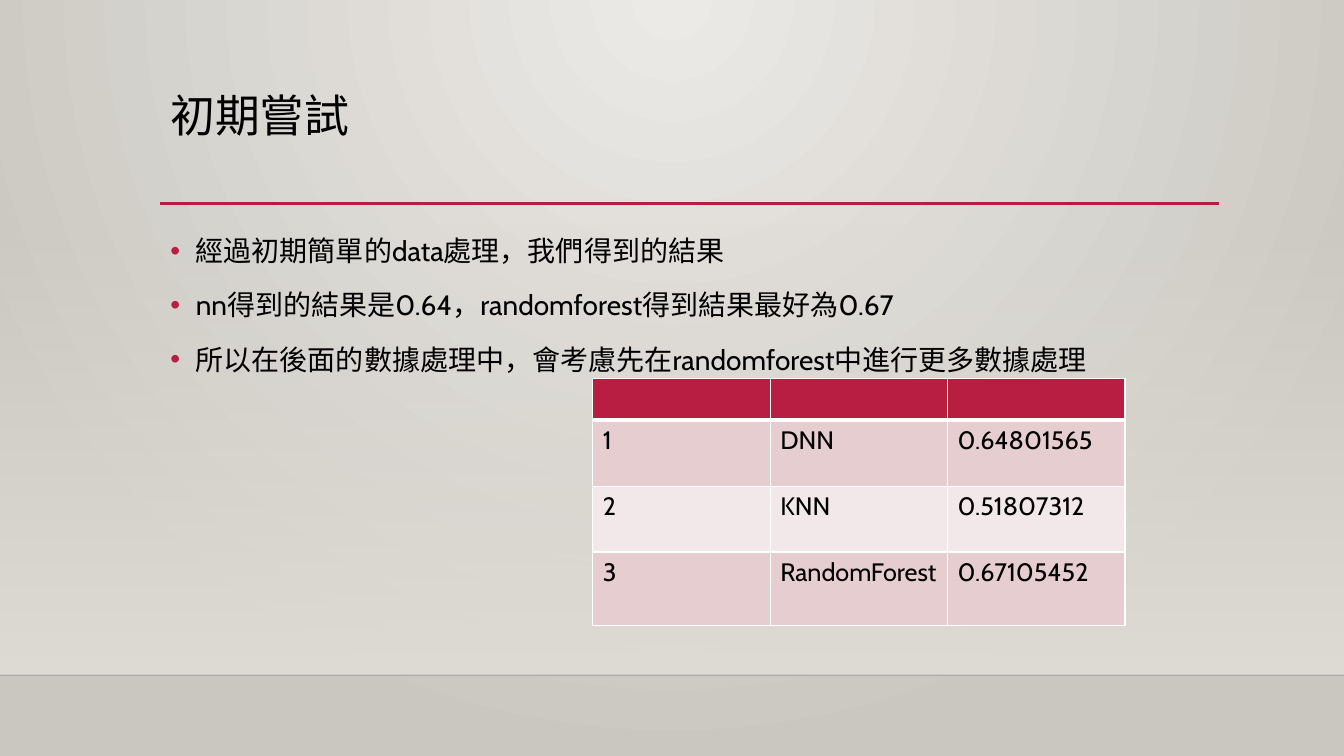
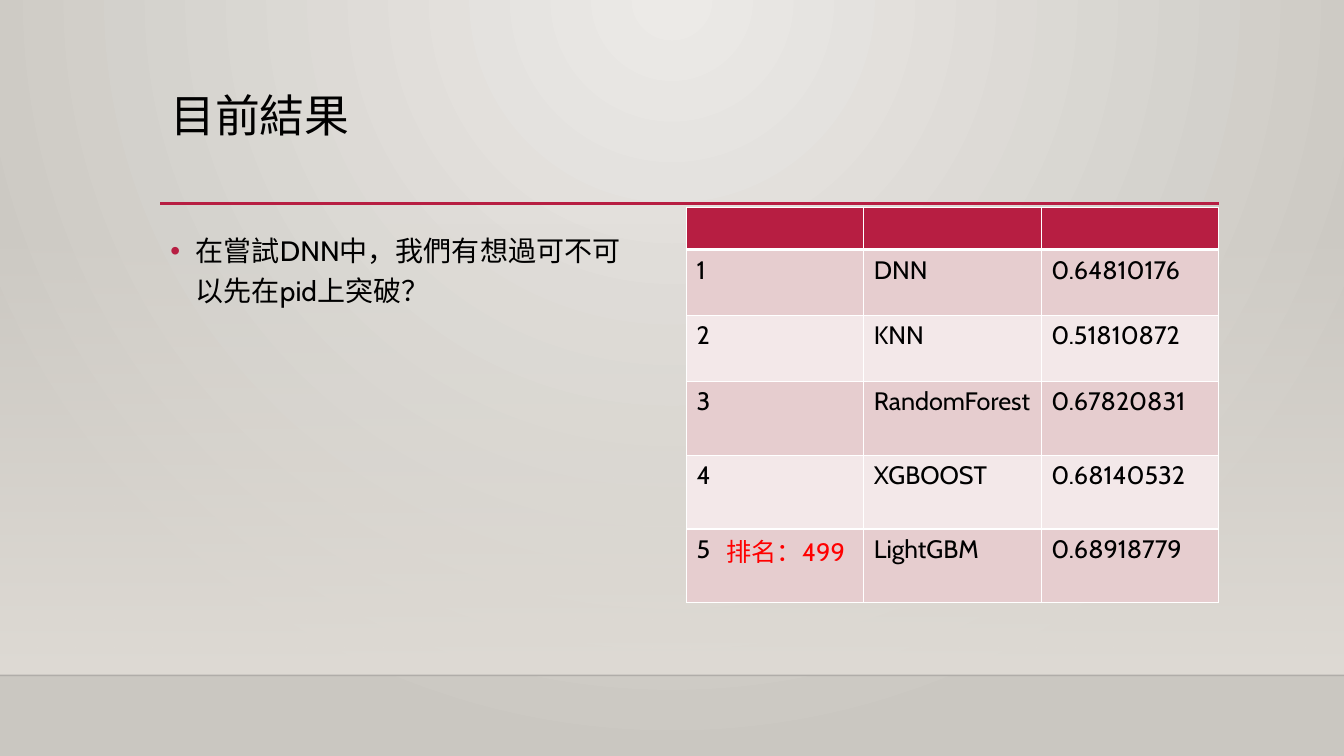
from collections import namedtuple

from lxml.etree import SubElement
from pptx import Presentation
from pptx.dml.color import RGBColor
from pptx.enum.shapes import MSO_CONNECTOR, MSO_SHAPE
from pptx.enum.text import MSO_ANCHOR, MSO_AUTO_SIZE, PP_ALIGN
from pptx.oxml.ns import qn
from pptx.util import Cm, Pt

Box = namedtuple("Box", "left top width height")

FONT = "Cabin"
BLACK = RGBColor(0x00, 0x00, 0x00)
EDGE = RGBColor(0x00, 0x00, 0x01)
WHITE = RGBColor(0xFF, 0xFF, 0xFF)
RED = RGBColor(0xFF, 0x00, 0x00)
CRIMSON = RGBColor(0xB7, 0x1E, 0x42)
PINK = RGBColor(0xE6, 0xCD, 0xCF)
PALE_PINK = RGBColor(0xF3, 0xE8, 0xE9)
GLOW = RGBColor(0xEC, 0xEA, 0xE7)
STONE = RGBColor(0xCA, 0xC7, 0xC1)
SAND = RGBColor(0xDF, 0xDB, 0xD5)

PAGE_WIDTH = Cm(33.87)
PAGE_HEIGHT = Cm(19.05)
TITLE_BOX = Box(Cm(4.04), Cm(2.24), Cm(26.67), Cm(2.92))
BODY_BOX = Box(Cm(4.04), Cm(5.59), Cm(26.67), Cm(9.58))
HALF_BODY_BOX = BODY_BOX._replace(width=Cm(12.29))
BAND_BOX = Box(Cm(0), Cm(5.61), PAGE_WIDTH, Cm(11.41))
RULE_BOX = Box(Cm(4.04), Cm(5.13), Cm(26.69), Cm(0))

HEADER_HEIGHT = Cm(1.06)
SHORT_ROW = Cm(1.66)
TALL_ROW = Cm(1.86)
SHORT_ROW_COUNT = 2


def add_child(parent, tag, **attributes):
    return SubElement(parent, qn(tag), {key: str(value) for key, value in attributes.items()})


def add_alpha(element, percent):
    add_child(element.find(".//" + qn("a:srgbClr")), "a:alpha", val=percent * 1000)


def place(shape, box):
    shape.left, shape.top, shape.width, shape.height = box


def write(para, text, size=18, color=BLACK, line_spacing=None, space_before=0):
    para.alignment = PP_ALIGN.LEFT
    para.space_before = Pt(space_before)
    if line_spacing:
        para.line_spacing = line_spacing
    span = para.add_run()
    span.text = text
    span.font.name = FONT
    span.font.size = Pt(size)
    span.font.color.rgb = color


def add_bullet(para):
    properties = para._p.get_or_add_pPr()
    properties.set("marL", str(Cm(0.64)))
    properties.set("indent", str(-Cm(0.64)))
    add_child(add_child(properties, "a:buClr"), "a:srgbClr", val=CRIMSON)
    add_child(properties, "a:buFont", typeface="Arial")
    add_child(properties, "a:buChar", char="•")


def fill_gradient(fill, *colors):
    fill.gradient()
    for stop, color in zip(fill.gradient_stops, colors):
        stop.color.rgb = color


def paint_background(master):
    fill_gradient(master.background.fill, GLOW, STONE)
    gradient = master._element.find(".//" + qn("a:gradFill"))
    gradient.remove(gradient.find(qn("a:lin")))
    circle = add_child(gradient, "a:path", path="circle")
    add_child(circle, "a:fillToRect", l=43000, t=0, r=43000, b=100000)


def add_rule(page, box, color, width):
    rule = page.shapes.add_connector(
        MSO_CONNECTOR.STRAIGHT, box.left, box.top, box.left + box.width, box.top
    )
    rule.line.color.rgb = color
    rule.line.width = Pt(width)
    add_child(rule._element.spPr, "a:effectLst")
    return rule


def add_backdrop(page, box):
    band = page.shapes.add_shape(MSO_SHAPE.RECTANGLE, *box)
    band.shadow.inherit = False
    band.line.fill.background()
    fill_gradient(band.fill, SAND, SAND)
    band.fill.gradient_angle = 270
    add_alpha(band._element.spPr, 0)
    floor = add_rule(page, box._replace(top=box.top + box.height), EDGE, 1)
    add_alpha(floor._element.spPr, 20)
    accent = add_rule(page, RULE_BOX, CRIMSON, 2.5)
    for position, shape in enumerate((band, floor, accent), start=2):
        page.shapes._spTree.insert(position, shape._element)


def prepare_placeholder(shape, box):
    place(shape, box)
    frame = shape.text_frame
    frame.word_wrap = True
    frame.auto_size = MSO_AUTO_SIZE.NONE
    frame.vertical_anchor = MSO_ANCHOR.TOP
    return frame


def add_content_page(deck, title, bullets, body_box):
    page = deck.slides.add_slide(deck.slide_layouts[1])
    add_backdrop(page, BAND_BOX)
    heading = prepare_placeholder(page.shapes.title, TITLE_BOX)
    write(heading.paragraphs[0], title, size=32, line_spacing=0.9)
    body = prepare_placeholder(page.placeholders[1], body_box)
    for index, text in enumerate(bullets):
        para = body.add_paragraph() if index else body.paragraphs[0]
        write(para, text, size=20, line_spacing=1.2, space_before=10)
        add_bullet(para)
    return page


def style_cell(cell, color, top_width, bottom_width):
    cell.fill.solid()
    cell.fill.fore_color.rgb = color
    properties = cell._tc.get_or_add_tcPr()
    borders = {"a:lnL": 1, "a:lnR": 1, "a:lnT": top_width, "a:lnB": bottom_width}
    for position, (tag, width) in enumerate(borders.items()):
        border = add_child(properties, tag, w=Pt(width))
        add_child(add_child(border, "a:solidFill"), "a:srgbClr", val=WHITE)
        properties.insert(position, border)


def add_score_table(page, left, top, scores):
    short_rows = [SHORT_ROW] * SHORT_ROW_COUNT
    tall_rows = [TALL_ROW] * (len(scores) - SHORT_ROW_COUNT)
    heights = [HEADER_HEIGHT] + short_rows + tall_rows
    box = Box(left, top, Cm(13.41), sum(heights))
    table = page.shapes.add_table(len(heights), 3, *box).table
    rows = [("", "", "")]
    rows += [(str(rank), model, score) for rank, (model, score) in enumerate(scores, start=1)]
    for index, (values, height) in enumerate(zip(rows, heights)):
        table.rows[index].height = height
        color = CRIMSON if index == 0 else PINK if index % 2 else PALE_PINK
        for cell, value in zip(table.rows[index].cells, values):
            style_cell(cell, color, 3 if index == 1 else 1, 3 if index == 0 else 1)
            if value:
                write(cell.text_frame.paragraphs[0], value)
    return box


def add_rank_label(page, table_box, text):
    top = table_box.top + table_box.height - TALL_ROW + Cm(0.05)
    label = page.shapes.add_textbox(table_box.left + Cm(0.76), top, Cm(3.61), Cm(1.07))
    label.text_frame.word_wrap = True
    label.text_frame.auto_size = MSO_AUTO_SIZE.SHAPE_TO_FIT_TEXT
    write(label.text_frame.paragraphs[0], text, color=RED)


def build_first_attempt(deck):
    bullets = [
        "經過初期簡單的data處理，我們得到的結果",
        "nn得到的結果是0.64，randomforest得到結果最好為0.67",
        "所以在後面的數據處理中，會考慮先在randomforest中進行更多數據處理",
    ]
    scores = [("DNN", "0.64801565"), ("KNN", "0.51807312"), ("RandomForest", "0.67105452")]
    page = add_content_page(deck, "初期嘗試", bullets, BODY_BOX)
    add_score_table(page, Cm(14.94), Cm(9.53), scores)


def build_current_results(deck):
    bullets = ["在嘗試DNN中，我們有想過可不可以先在pid上突破？"]
    scores = [
        ("DNN", "0.64810176"),
        ("KNN", "0.51810872"),
        ("RandomForest", "0.67820831"),
        ("XGBOOST", "0.68140532"),
        ("LightGBM", "0.68918779"),
    ]
    page = add_content_page(deck, "目前結果", bullets, HALF_BODY_BOX)
    table_box = add_score_table(page, Cm(17.3), Cm(5.23), scores)
    add_rank_label(page, table_box, "排名：499")


def main():
    deck = Presentation()
    deck.slide_width = PAGE_WIDTH
    deck.slide_height = PAGE_HEIGHT
    paint_background(deck.slide_master)
    build_first_attempt(deck)
    build_current_results(deck)
    deck.save("out.pptx")


if __name__ == "__main__":
    main()
